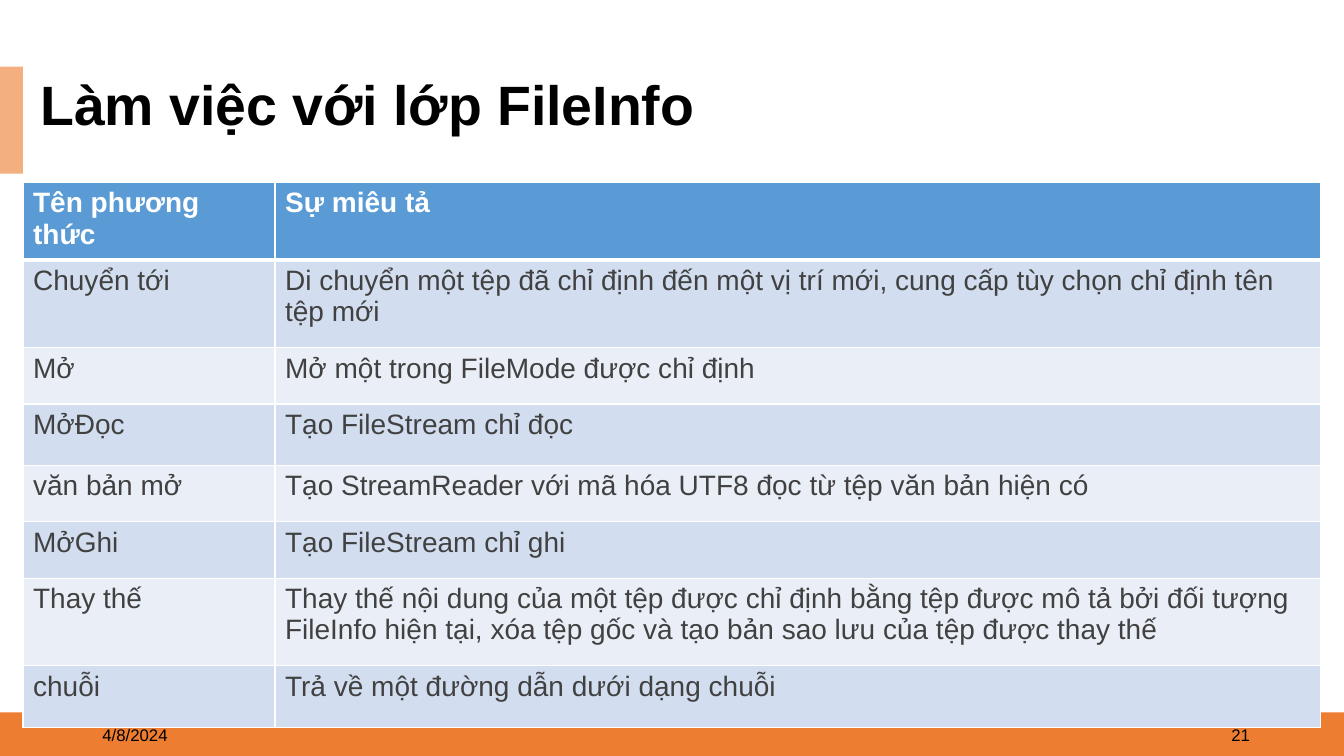
from dataclasses import dataclass

from lxml.etree import SubElement
from pptx import Presentation
from pptx.dml.color import RGBColor
from pptx.enum.shapes import MSO_SHAPE
from pptx.enum.text import MSO_ANCHOR, MSO_AUTO_SIZE, PP_ALIGN
from pptx.oxml.ns import qn
from pptx.slide import Slide
from pptx.table import _Cell
from pptx.text.text import TextFrame
from pptx.util import Cm, Pt

HUES = {
    "white": "FFFFFF",
    "black": "000000",
    "text": "414141",
    "orange": "ED7D31",
    "peach": "F4AF80",
    "head": "5B9BD5",
    "dark": "D2DEEF",
    "light": "EAEFF7",
}


@dataclass
class Bar:
    left: float
    top: float
    width: float
    height: float
    hue: str


@dataclass
class Note:
    left: float
    text: str
    align: PP_ALIGN


@dataclass
class Row:
    height: float
    name: str
    about: str


BARS = [
    Bar(0, 17.95, 33.87, 1.1, "orange"),
    Bar(0, 1.68, 0.58, 2.7, "peach"),
]
NOTES = [
    Note(2.33, "4/8/2024", PP_ALIGN.LEFT),
    Note(24.13, "21", PP_ALIGN.RIGHT),
]
WIDTHS = [6.35, 26.34]
ROWS = [
    Row(1.42, "Tên phương thức", "Sự miêu tả"),
    Row(2.21, "Chuyển tới", "Di chuyển một tệp đã chỉ định đến một vị trí mới, "
        "cung cấp tùy chọn chỉ định tên tệp mới"),
    Row(1.42, "Mở", "Mở một trong FileMode được chỉ định"),
    Row(1.55, "MởĐọc", "Tạo FileStream chỉ đọc"),
    Row(1.42, "văn bản mở",
        "Tạo StreamReader với mã hóa UTF8 đọc từ tệp văn bản hiện có"),
    Row(1.42, "MởGhi", "Tạo FileStream chỉ ghi"),
    Row(2.21, "Thay thế", "Thay thế nội dung của một tệp được chỉ định bằng tệp "
        "được mô tả bởi đối tượng FileInfo hiện tại, xóa tệp gốc và tạo bản sao "
        "lưu của tệp được thay thế"),
    Row(1.55, "chuỗi", "Trả về một đường dẫn dưới dạng chuỗi"),
]


def color(hue: str) -> RGBColor:
    return RGBColor.from_string(HUES[hue])


def write(frame: TextFrame, text: str, size: float, hue: str,
          bold: bool = False, align: PP_ALIGN = PP_ALIGN.LEFT) -> None:
    frame.word_wrap = True
    para = frame.paragraphs[0]
    para.alignment = align
    run = para.add_run()
    run.text = text
    font = run.font
    font.name = "Arial"
    font.size = Pt(size)
    font.bold = bold
    font.color.rgb = color(hue)


def draw_bar(slide: Slide, bar: Bar) -> None:
    shape = slide.shapes.add_shape(
        MSO_SHAPE.RECTANGLE, Cm(bar.left), Cm(bar.top), Cm(bar.width), Cm(bar.height))
    shape.shadow.inherit = False
    shape.fill.solid()
    shape.fill.fore_color.rgb = color(bar.hue)
    shape.line.fill.background()


def draw_note(slide: Slide, note: Note) -> None:
    box = slide.shapes.add_textbox(Cm(note.left), Cm(18), Cm(7.62), Cm(1.02))
    box.text_frame.vertical_anchor = MSO_ANCHOR.MIDDLE
    write(box.text_frame, note.text, 12, "black", align=note.align)


def draw_title(slide: Slide, text: str) -> None:
    title = slide.shapes.title
    title.left, title.top = Cm(0.76), Cm(1.9)
    title.width, title.height = Cm(20.7), Cm(1.6)
    title.fill.solid()
    title.fill.fore_color.rgb = color("white")
    frame = title.text_frame
    frame.auto_size = MSO_AUTO_SIZE.NONE
    frame.vertical_anchor = MSO_ANCHOR.MIDDLE
    write(frame, text, 39.6, "black", bold=True)
    frame.paragraphs[0].line_spacing = 0.9


def edge(cell: _Cell, top: float, base: float) -> None:
    props = cell._tc.get_or_add_tcPr()
    sides = {"lnL": 1, "lnR": 1, "lnT": top, "lnB": base}
    for spot, (tag, width) in enumerate(sides.items()):
        line = SubElement(props, qn(f"a:{tag}"), w=str(Pt(width)))
        fill = SubElement(line, qn("a:solidFill"))
        SubElement(fill, qn("a:srgbClr"), val=HUES["white"])
        props.insert(spot, line)


def draw_table(slide: Slide) -> None:
    table = slide.shapes.add_table(
        len(ROWS), len(WIDTHS), Cm(0.58), Cm(4.6), Cm(sum(WIDTHS)),
        Cm(sum(row.height for row in ROWS))).table
    table.horz_banding = False
    for col, width in zip(table.columns, WIDTHS):
        col.width = Cm(width)
    for i, row in enumerate(ROWS):
        table.rows[i].height = Cm(row.height)
        head = i == 0
        back = "head" if head else "dark" if i % 2 else "light"
        for j, text in enumerate((row.name, row.about)):
            cell = table.cell(i, j)
            cell.fill.solid()
            cell.fill.fore_color.rgb = color(back)
            edge(cell, 3 if i == 1 else 1, 3 if head else 1)
            write(cell.text_frame, text, 20, "white" if head else "text", head)


def main() -> None:
    deck = Presentation()
    deck.slide_width, deck.slide_height = Cm(33.87), Cm(19.05)
    slide = deck.slides.add_slide(deck.slide_layouts[5])
    for bar in BARS:
        draw_bar(slide, bar)
    for note in NOTES:
        draw_note(slide, note)
    draw_title(slide, "Làm việc với lớp FileInfo")
    draw_table(slide)
    deck.save("out.pptx")


if __name__ == "__main__":
    main()
